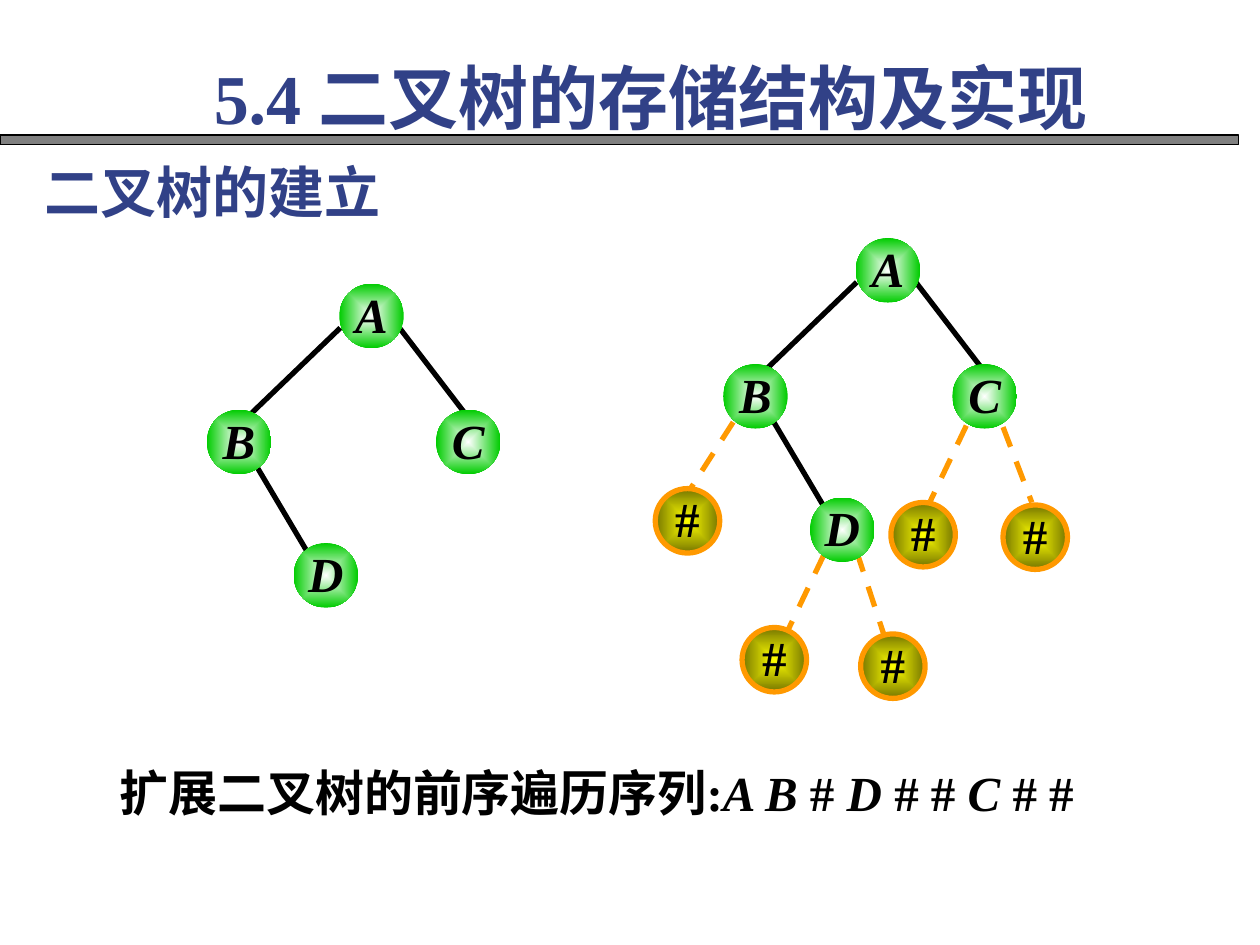
from lxml import etree
from pptx import Presentation
from pptx.dml.color import RGBColor
from pptx.enum import dml, shapes, text
from pptx.oxml import ns
from pptx.util import Cm, Pt

COLORS = {
    "heading": "314187", "ink": "000000", "bar": "808080",
    "node_center": "FFFFFF", "node_rim": "00CC00",
    "empty_center": "FFFF00", "empty_rim": "757500", "empty_line": "FF9900",
}
LATIN, CJK = "Times New Roman", "Noto Sans CJK SC"
NODE_SIZE = 1.3

# Positions in cm, relative to the top left corner of a tree
NODES = [("A", 2.67, 0), ("B", 0, 2.54), ("C", 4.62, 2.54), ("D", 1.75, 5.23)]
EDGES = [
    (2.69, 0.89, 0.89, 2.62),  # A to B
    (3.86, 0.86, 5.21, 2.62),  # A to C
    (0.99, 3.66, 2.01, 5.38),  # B to D
]
EMPTY_NODES = [("#", -1.37, 5.05), ("#", 0.38, 7.85), ("#", 2.77, 7.98),
               ("#", 3.38, 5.33), ("#", 5.64, 5.38)]
EMPTY_EDGES = [
    (0.2, 3.71, -0.66, 5.05),  # left of B
    (2.03, 6.38, 1.32, 7.87),  # left of D
    (2.69, 6.32, 3.25, 8.03),  # right of D
    (4.9, 3.78, 4.17, 5.31),   # left of C
    (5.64, 3.81, 6.22, 5.33),  # right of C
]


def color(name):
    return RGBColor.from_string(COLORS[name])


def add_run(paragraph, words, size, color_name="ink", italic=False, latin=LATIN):
    run = paragraph.add_run()
    run.text = words
    font = run.font
    font.name, font.size = latin, Pt(size)
    font.bold, font.italic = True, italic
    font.color.rgb = color(color_name)
    east_asian = etree.SubElement(run._r.get_or_add_rPr(), ns.qn("a:ea"))
    east_asian.set("typeface", CJK)


def add_text(slide, box, runs, inset=0.13):
    """Place one line of text; runs holds the keyword sets for add_run."""
    frame = slide.shapes.add_textbox(*map(Cm, box)).text_frame
    frame.word_wrap = True
    frame.margin_left = frame.margin_right = Cm(0.25)
    frame.margin_top = frame.margin_bottom = Cm(inset)
    for run in runs:
        add_run(frame.paragraphs[0], **run)


def fill_from_center(shape, center, rim):
    shape.fill.gradient()
    for stop, name in zip(shape.fill.gradient_stops, (center, rim)):
        stop.color.rgb = color(name)
    gradient = shape._element.spPr.find(ns.qn("a:gradFill"))
    gradient.remove(gradient.find(ns.qn("a:lin")))
    path = etree.SubElement(gradient, ns.qn("a:path"), path="rect")
    etree.SubElement(path, ns.qn("a:fillToRect"),
                     {side: "50000" for side in "ltrb"})


def add_node(slide, left, top, label, empty):
    node = slide.shapes.add_shape(shapes.MSO_SHAPE.OVAL, Cm(left), Cm(top),
                                  Cm(NODE_SIZE), Cm(NODE_SIZE))
    node.shadow.inherit = False
    if empty:
        fill_from_center(node, "empty_center", "empty_rim")
        node.line.color.rgb = color("empty_line")
        node.line.width = Pt(3)
    else:
        fill_from_center(node, "node_center", "node_rim")
        node.line.fill.background()
    frame = node.text_frame
    frame.word_wrap = False
    frame.margin_left = frame.margin_right = frame.margin_top = 0
    frame.margin_bottom = Cm(0.1)
    frame.vertical_anchor = text.MSO_ANCHOR.MIDDLE
    paragraph = frame.paragraphs[0]
    paragraph.alignment = text.PP_ALIGN.CENTER
    add_run(paragraph, label, 28, italic=not empty)


def add_edge(slide, ends, empty):
    edge = slide.shapes.add_connector(shapes.MSO_CONNECTOR.STRAIGHT,
                                      *map(Cm, ends))
    edge.line.width = Pt(3)
    edge.line.color.rgb = color("empty_line" if empty else "ink")
    if empty:
        edge.line.dash_style = dml.MSO_LINE.DASH
    etree.SubElement(edge._element.spPr, ns.qn("a:effectLst"))


def add_tree(slide, left, top, extended=False):
    layers = [(NODES, EDGES, False)]
    if extended:
        layers.insert(0, (EMPTY_NODES, EMPTY_EDGES, True))
    # Edges lie behind all nodes
    for _, edges, empty in layers:
        for x1, y1, x2, y2 in edges:
            add_edge(slide, (left + x1, top + y1, left + x2, top + y2), empty)
    for nodes, _, empty in layers:
        for label, x, y in nodes:
            add_node(slide, left + x, top + y, label, empty)


def add_header(slide, left, top):
    bar = slide.shapes.add_shape(shapes.MSO_SHAPE.RECTANGLE, Cm(left),
                                 Cm(top + 1.75), Cm(24.97), Cm(0.2))
    bar.shadow.inherit = False
    bar.fill.solid()
    bar.fill.fore_color.rgb = color("bar")
    bar.line.color.rgb = color("ink")
    bar.line.width = Pt(0.75)
    add_text(slide, (left + 4.06, top, 19.58, 1.96),
             [dict(words="5.4 二叉树的存储结构及实现", size=40,
                   color_name="heading")])
    add_text(slide, (left + 0.64, top + 2.08, 14.81, 1.63),
             [dict(words="二叉树的建立", size=32, color_name="heading",
                   latin=CJK)])


def add_sequence(slide, box):
    parts = ["扩展二叉树的前序遍历序列:", "A B ", "# ", "D ", "# # ", "C ", "# #"]
    # Node letters, at every second place, are italic
    add_text(slide, box, [dict(words=words, size=28, italic=index % 2 == 1)
                          for index, words in enumerate(parts)], inset=0)


def main():
    presentation = Presentation()
    presentation.slide_width, presentation.slide_height = Cm(25.4), Cm(19.05)
    slide = presentation.slides.add_slide(presentation.slide_layouts[6])
    add_header(slide, 0, 0.97)
    add_tree(slide, 4.17, 5.72)
    add_tree(slide, 14.58, 4.8, extended=True)
    add_sequence(slide, (2.16, 15.37, 21.74, 1.9))
    presentation.save("out.pptx")


if __name__ == "__main__":
    main()
